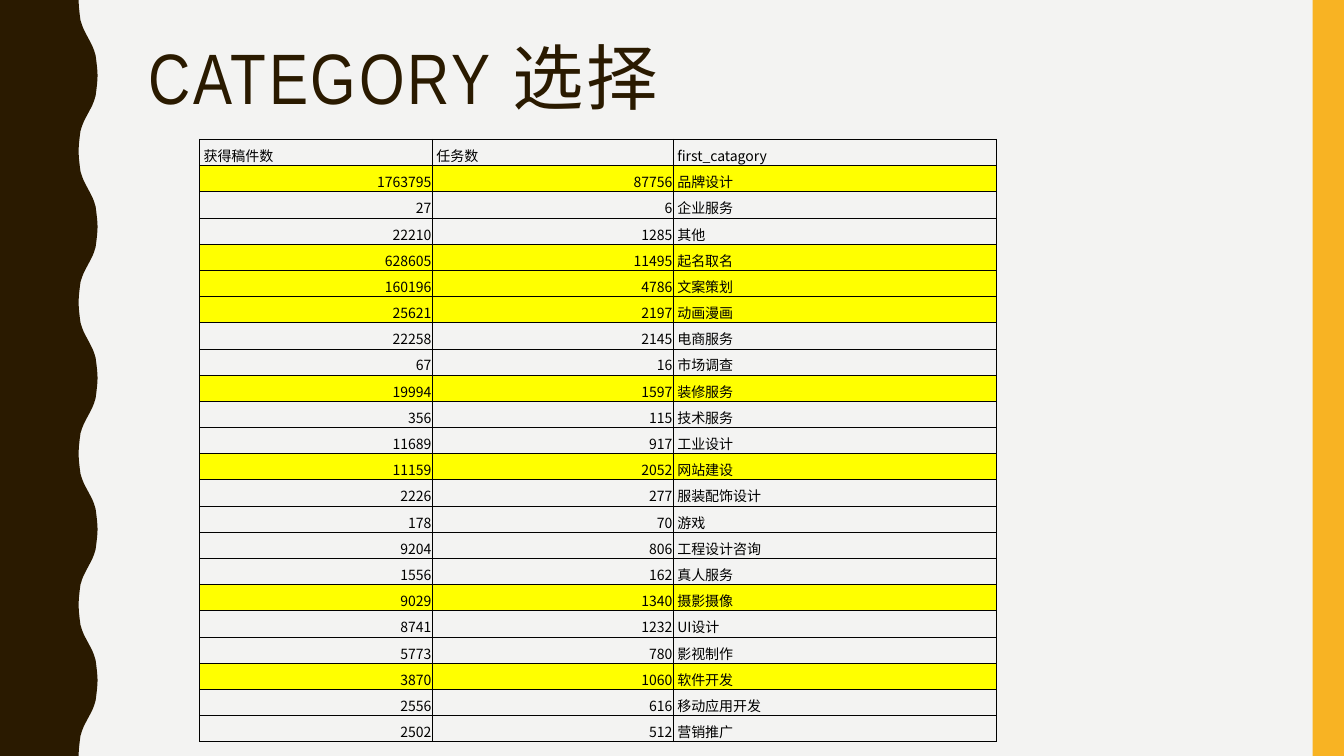
from dataclasses import dataclass

from lxml import etree
from pptx import Presentation
from pptx.dml.color import RGBColor
from pptx.enum.shapes import MSO_SHAPE
from pptx.enum.text import MSO_ANCHOR, MSO_AUTO_SIZE, PP_ALIGN
from pptx.oxml.ns import qn
from pptx.util import Cm, Pt

RECTANGLE = MSO_SHAPE.RECTANGLE
TOP, BOTTOM = MSO_ANCHOR.TOP, MSO_ANCHOR.BOTTOM
NO_AUTOFIT = MSO_AUTO_SIZE.NONE
LEFT, RIGHT = PP_ALIGN.LEFT, PP_ALIGN.RIGHT

SLIDE_WIDTH, SLIDE_HEIGHT = 33.87, 19.05
WAVE_COUNT = 5
WAVE_LENGTH = SLIDE_HEIGHT / WAVE_COUNT
WAVE_MIDDLE = 2.22
# (x, y) from a trough up to the middle of the slope
QUARTER_WAVE = [(1.98, 0), (1.99, 0.18), (2.01, 0.36), (2.03, 0.51),
                (2.07, 0.64), (2.11, 0.74), (2.16, 0.84)]

HEADERS = ("获得稿件数", "任务数", "first_catagory")
CATEGORIES = [
    (1763795, 87756, "品牌设计"),
    (27, 6, "企业服务"),
    (22210, 1285, "其他"),
    (628605, 11495, "起名取名"),
    (160196, 4786, "文案策划"),
    (25621, 2197, "动画漫画"),
    (22258, 2145, "电商服务"),
    (67, 16, "市场调查"),
    (19994, 1597, "装修服务"),
    (356, 115, "技术服务"),
    (11689, 917, "工业设计"),
    (11159, 2052, "网站建设"),
    (2226, 277, "服装配饰设计"),
    (178, 70, "游戏"),
    (9204, 806, "工程设计咨询"),
    (1556, 162, "真人服务"),
    (9029, 1340, "摄影摄像"),
    (8741, 1232, "UI设计"),
    (5773, 780, "影视制作"),
    (3870, 1060, "软件开发"),
    (2556, 616, "移动应用开发"),
    (2502, 512, "营销推广"),
]
SELECTED = {"品牌设计", "起名取名", "文案策划", "动画漫画",
            "装修服务", "网站建设", "摄影摄像", "软件开发"}


@dataclass(frozen=True)
class Theme:
    background: str = "F3F3F2"
    dark: str = "2A1A00"
    accent: str = "F8B323"
    highlight: str = "FFFF00"
    black: str = "000000"
    title_font: str = "Arial Narrow"
    body_font: str = "Noto Sans CJK SC"
    title_size: int = 51
    body_size: int = 10
    border_width: float = 0.5


def wave_points():
    """Return the points of the wavy edge from the top to the bottom."""
    slope = QUARTER_WAVE + [(WAVE_MIDDLE, WAVE_LENGTH / 4)]
    slope += [(2 * WAVE_MIDDLE - x, WAVE_LENGTH / 2 - y)
              for x, y in reversed(QUARTER_WAVE)]
    wave = slope + [(x, WAVE_LENGTH - y) for x, y in reversed(slope[:-1])]
    return [(x, y + number * WAVE_LENGTH)
            for number in range(WAVE_COUNT) for x, y in wave]


class SlideBuilder:
    def __init__(self, presentation, theme):
        self.theme = theme
        self.slide = presentation.slides.add_slide(presentation.slide_layouts[5])
        self.fill(self.slide.background, theme.background)

    def fill(self, target, color):
        target.fill.solid()
        target.fill.fore_color.rgb = RGBColor.from_string(color)

    def paint(self, shape, color):
        shape.shadow.inherit = False
        self.fill(shape, color)
        shape.line.fill.background()

    def style_text(self, paragraph, font_name, size, color, alignment):
        paragraph.alignment = alignment
        font = paragraph.font
        font.name, font.size = font_name, Pt(size)
        font.color.rgb = RGBColor.from_string(color)
        properties = paragraph._p.pPr.find(qn("a:defRPr"))
        etree.SubElement(properties, qn("a:ea"), typeface=self.theme.body_font)
        return properties

    def wavy_band(self, color):
        edge = [(Cm(x), Cm(y)) for x, y in wave_points()]
        builder = self.slide.shapes.build_freeform(0, 0)
        builder.add_line_segments(edge + [(0, Cm(SLIDE_HEIGHT))], close=True)
        self.paint(builder.convert_to_shape(), color)

    def bar(self, left, top, width, height, color):
        shape = self.slide.shapes.add_shape(
            RECTANGLE, Cm(left), Cm(top), Cm(width), Cm(height))
        self.paint(shape, color)

    def title(self, text, left, top, width, height):
        shape = self.slide.shapes.title
        shape.left, shape.top = Cm(left), Cm(top)
        shape.width, shape.height = Cm(width), Cm(height)
        frame = shape.text_frame
        frame.text = text
        frame.auto_size, frame.vertical_anchor = NO_AUTOFIT, TOP
        frame.margin_top = 0
        paragraph = frame.paragraphs[0]
        paragraph.line_spacing = 0.9
        properties = self.style_text(paragraph, self.theme.title_font,
                                     self.theme.title_size, self.theme.dark, LEFT)
        properties.set("spc", "200")

    def borders(self, cell):
        cell_properties = cell._tc.get_or_add_tcPr()
        for side in ("lnL", "lnR", "lnT", "lnB"):
            line = etree.SubElement(cell_properties, qn(f"a:{side}"),
                                    w=str(Pt(self.theme.border_width)))
            line_fill = etree.SubElement(line, qn("a:solidFill"))
            etree.SubElement(line_fill, qn("a:srgbClr"), val=self.theme.black)

    def cell(self, cell, value, highlighted):
        is_number = isinstance(value, int)
        cell.text = str(value)
        cell.vertical_anchor = BOTTOM
        cell.margin_left = Cm(0.03 if is_number else 0.1)
        cell.margin_right = cell.margin_top = Cm(0.03)
        cell.margin_bottom = 0
        self.style_text(cell.text_frame.paragraphs[0], self.theme.body_font,
                        self.theme.body_size, self.theme.black,
                        RIGHT if is_number else LEFT)
        self.borders(cell)
        if highlighted:
            self.fill(cell, self.theme.highlight)
        else:
            cell.fill.background()

    def table(self, rows, left, top, column_widths, row_height):
        table = self.slide.shapes.add_table(
            len(rows), len(column_widths), Cm(left), Cm(top),
            Cm(sum(column_widths)), Cm(row_height * len(rows))).table
        table.first_row = table.horz_banding = False
        for column, width in zip(table.columns, column_widths):
            column.width = Cm(width)
        for row, values in zip(table.rows, rows):
            row.height = Cm(row_height)
            for cell, value in zip(row.cells, values):
                self.cell(cell, value, values[-1] in SELECTED)


def main():
    presentation = Presentation()
    presentation.slide_width = Cm(SLIDE_WIDTH)
    presentation.slide_height = Cm(SLIDE_HEIGHT)
    theme = Theme()
    builder = SlideBuilder(presentation, theme)
    builder.wavy_band(theme.dark)
    builder.bar(33.08, 0, 0.79, SLIDE_HEIGHT, theme.accent)
    builder.title("CATEGORY 选择", 3.48, 1.07, 28.27, 4.14)
    builder.table([HEADERS] + CATEGORIES, 5.03, 3.51, (5.87, 6.07, 8.15), 0.66)
    presentation.save("out.pptx")


if __name__ == "__main__":
    main()
